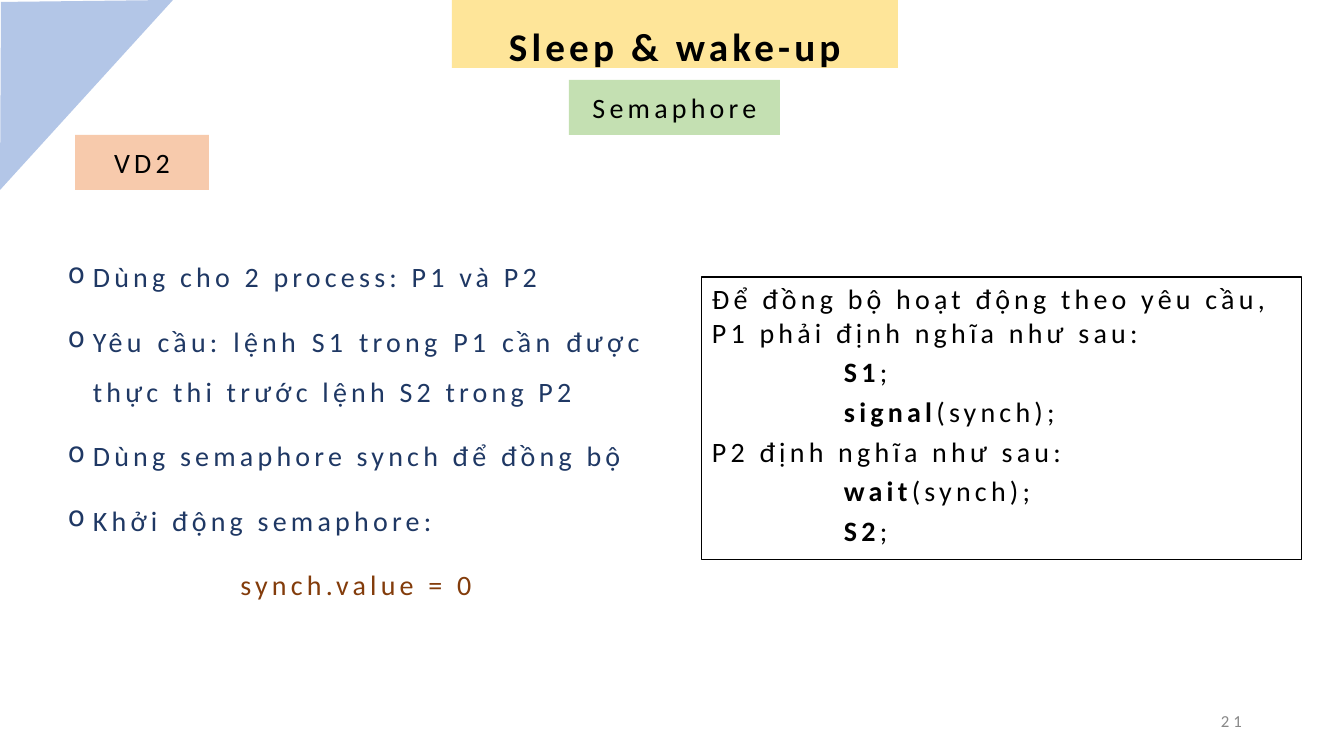
from lxml.etree import SubElement
from pptx import Presentation
from pptx.dml.color import RGBColor
from pptx.enum.shapes import MSO_SHAPE as Shape
from pptx.enum.text import MSO_ANCHOR as Anchor, PP_ALIGN as Align
from pptx.oxml.ns import qn
from pptx.util import Emu, Pt

BLACK = RGBColor(0x00, 0x00, 0x00)
NAVY = RGBColor(0x1F, 0x38, 0x64)
BROWN = RGBColor(0x83, 0x3C, 0x0B)
GRAY = RGBColor(0x88, 0x88, 0x88)
BLUE = RGBColor(0xB3, 0xC6, 0xE7)
PEACH = RGBColor(0xF7, 0xCA, 0xAC)
YELLOW = RGBColor(0xFE, 0xE5, 0x99)
GREEN = RGBColor(0xC4, 0xE0, 0xB2)

# Content: boxes are left, top, width, height in px
POINTS = [
    "Dùng cho 2 process: P1 và P2",
    "Yêu cầu: lệnh S1 trong P1 cần được thực thi trước lệnh S2 trong P2",
    "Dùng semaphore synch để đồng bộ",
    "Khởi động semaphore:",
]
START = "synch.value = 0"
# Each process: its heading, then code lines as (bold part, plain part)
STEPS = [
    ("Để đồng bộ hoạt động theo yêu cầu, P1 phải định nghĩa như sau:",
     [("S1", ";"), ("signal", "(synch);")]),
    ("P2 định nghĩa như sau:",
     [("wait", "(synch);"), ("S2", ";")]),
]
# Label: text, box, fill, size, bold, line spacing
LABELS = [
    ("VD2", (75, 135, 134, 55), PEACH, 20, False, 1),
    ("Sleep & wake-up", (452, 0, 446, 68), YELLOW, 28, True, 1.5),
    ("Semaphore", (569, 80, 211, 55), GREEN, 20, False, 1),
]
CORNER = [(1, 2), (0, 190), (173, 0)]
LIST_BOX = (58, 238, 596, 390)
CODE_BOX = (702, 277, 600, 283)
PAGE_BOX = (950, 701, 302, 40)
BULLET, INDENT = 25, 132

PX = 914400 / 100.8


def px(n):
    return Emu(round(n * PX))


def style(par, size=20, color=BLACK, bold=None):
    font = par.font
    font.name, font.size, font.bold = "Calibri", Pt(size), bold
    font.color.rgb = color
    font._element.set("spc", "300")


def indent(par, left, first=0):
    prop = par._p.get_or_add_pPr()
    prop.set("marL", str(px(left)))
    prop.set("indent", str(px(first)))
    return prop


def bullet(par):
    prop = indent(par, BULLET, -BULLET)
    tint = SubElement(prop, qn("a:buClr"))
    SubElement(tint, qn("a:srgbClr"), val=str(NAVY))
    SubElement(prop, qn("a:buChar"), char="o")


def add_par(frame, text="", before=0):
    par = frame.paragraphs[0]
    if par.runs:
        par = frame.add_paragraph()
        par.space_before = Pt(before)
    if text:
        par.add_run().text = text
    return par


def text_box(box):
    frame = slide.shapes.add_textbox(*map(px, box)).text_frame
    frame.word_wrap = True
    return frame


def rect(box, fill=None):
    shape = slide.shapes.add_shape(Shape.RECTANGLE, *map(px, box))
    shape.shadow.inherit = False
    if fill is None:
        shape.fill.background()
        shape.line.color.rgb = BLACK
        shape.line.width = Pt(0.75)
    else:
        shape.fill.solid()
        shape.fill.fore_color.rgb = fill
        shape.line.fill.background()
    return shape.text_frame


deck = Presentation()
deck.slide_width, deck.slide_height = px(1344), px(756)
slide = deck.slides.add_slide(deck.slide_layouts[6])

# Bulleted list and start value
frame = text_box(LIST_BOX)
for text in POINTS:
    par = add_par(frame, text, 10)
    par.alignment, par.line_spacing = Align.JUSTIFY, 1.5
    bullet(par)
    style(par, color=NAVY)
par = add_par(frame, START, 10)
par.alignment, par.line_spacing = Align.CENTER, 1.5
style(par, color=BROWN)

# Framed code
frame = rect(CODE_BOX)
frame.vertical_anchor = Anchor.TOP
for head, lines in STEPS:
    par = add_par(frame, head, 5)
    par.alignment = Align.LEFT
    style(par)
    for name, rest in lines:
        par = add_par(frame, name, 4)
        par.alignment = Align.LEFT
        indent(par, INDENT)
        style(par)
        par.runs[0].font.bold = True
        par.add_run().text = rest

# Corner triangle
pen = slide.shapes.build_freeform(*CORNER[0], scale=PX)
pen.add_line_segments(CORNER[1:], close=True)
corner = pen.convert_to_shape()
corner.shadow.inherit = False
corner.fill.solid()
corner.fill.fore_color.rgb = BLUE
corner.line.fill.background()

# Coloured labels
for text, box, fill, size, bold, space in LABELS:
    frame = rect(box, fill)
    frame.vertical_anchor = Anchor.MIDDLE
    par = add_par(frame, text)
    par.alignment, par.line_spacing = Align.CENTER, space
    style(par, size, bold=bold)

# Page number
frame = text_box(PAGE_BOX)
frame.vertical_anchor = Anchor.MIDDLE
par = add_par(frame, "21")
par.alignment = Align.RIGHT
style(par, 12, GRAY)

deck.save("out.pptx")
